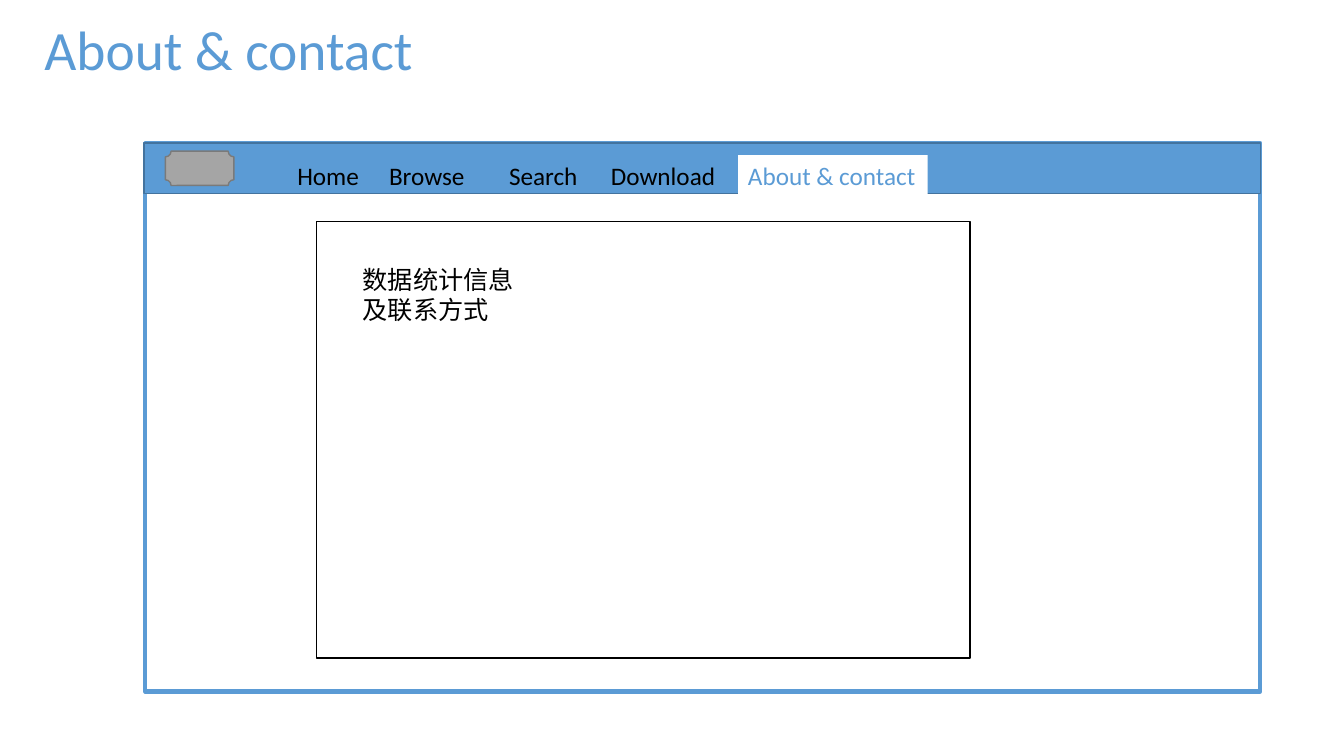
import pptx
import pptx.dml.color
import pptx.enum.shapes
import pptx.enum.text
import pptx.util

PX = 9144  # EMU per px, at 100 px to the inch
COLOURS = {
    "blue": "5B9BD5",
    "dark_blue": "43739E",
    "grey": "A5A5A5",
    "dark_grey": "7A7A7A",
    "white": "FFFFFF",
    "black": "000000",
}
SHAPES = pptx.enum.shapes.MSO_SHAPE
NAV_TOP, NAV_HEIGHT = 154, 40
NAV_LABELS = [("Home", 285, 101), ("Browse", 376, 119),
              ("Search", 495, 101), ("Download", 596, 142)]


def colour(name):
    return pptx.dml.color.RGBColor.from_string(COLOURS[name])


def emu(*lengths):
    return [pptx.util.Emu(length * PX) for length in lengths]


def set_attributes(target, values):
    for name, value in values.items():
        setattr(target, name, value)


def write_text(shape, lines, size, text_colour, anchor="TOP", line_spacing=1.0):
    frame = shape.text_frame
    frame.text = "\n".join(lines)
    set_attributes(frame, {
        "word_wrap": True,
        "auto_size": pptx.enum.text.MSO_AUTO_SIZE.NONE,
        "vertical_anchor": pptx.enum.text.MSO_ANCHOR[anchor],
    })
    for paragraph in frame.paragraphs:
        set_attributes(paragraph, {
            "alignment": pptx.enum.text.PP_ALIGN.LEFT,
            "line_spacing": line_spacing,
        })
        for run in paragraph.runs:
            set_attributes(run.font, {"name": "Calibri", "size": pptx.util.Pt(size)})
            run.font.color.rgb = colour(text_colour)


def add_panel(slide, box, fill, line=None, width=1, kind=SHAPES.RECTANGLE):
    shape = slide.shapes.add_shape(kind, *emu(*box))
    shape.shadow.inherit = False
    shape.fill.solid()
    shape.fill.fore_color.rgb = colour(fill)
    if line:
        shape.line.color.rgb = colour(line)
        shape.line.width = pptx.util.Pt(width)
    else:
        shape.line.fill.background()
    return shape


def add_label(slide, box, lines):
    write_text(slide.shapes.add_textbox(*emu(*box)), lines, 18, "black")


def format_title(slide, box, text):
    title = slide.shapes.title
    set_attributes(title, dict(zip(("left", "top", "width", "height"), emu(*box))))
    write_text(title, [text], 39.6, "blue", "MIDDLE", 0.9)


def main():
    presentation = pptx.Presentation()
    presentation.slide_width, presentation.slide_height = emu(1333, 750)
    slide = presentation.slides.add_slide(presentation.slide_layouts[5])
    format_title(slide, (34, 14, 548, 77), "About & contact")

    add_panel(slide, (144, 142, 1106, 544), "white", "blue", 3)
    add_panel(slide, (143, 142, 1107, 50), "blue", "dark_blue")
    add_panel(slide, (164, 150, 68, 34), "grey", "dark_grey", kind=SHAPES.PLAQUE)

    active_tab = add_panel(slide, (732, NAV_TOP, 188, NAV_HEIGHT), "white")
    write_text(active_tab, ["About & contact"], 18, "blue")
    for text, left, width in NAV_LABELS:
        add_label(slide, (left, NAV_TOP, width, NAV_HEIGHT), [text])

    add_panel(slide, (314, 220, 648, 433), "white", "black")
    add_label(slide, (350, 257, 210, 71), ["数据统计信息", "及联系方式"])
    presentation.save("out.pptx")


if __name__ == "__main__":
    main()
